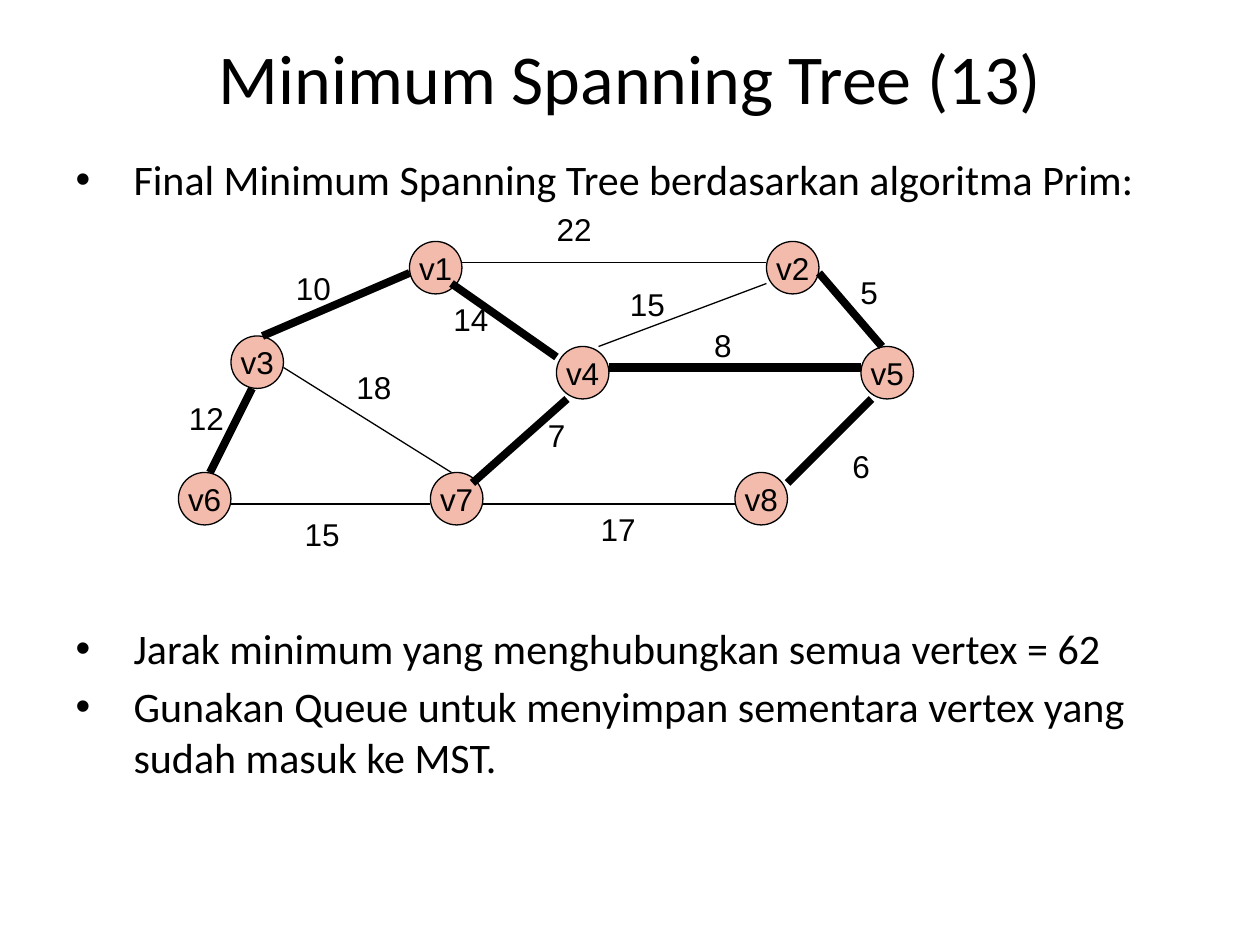
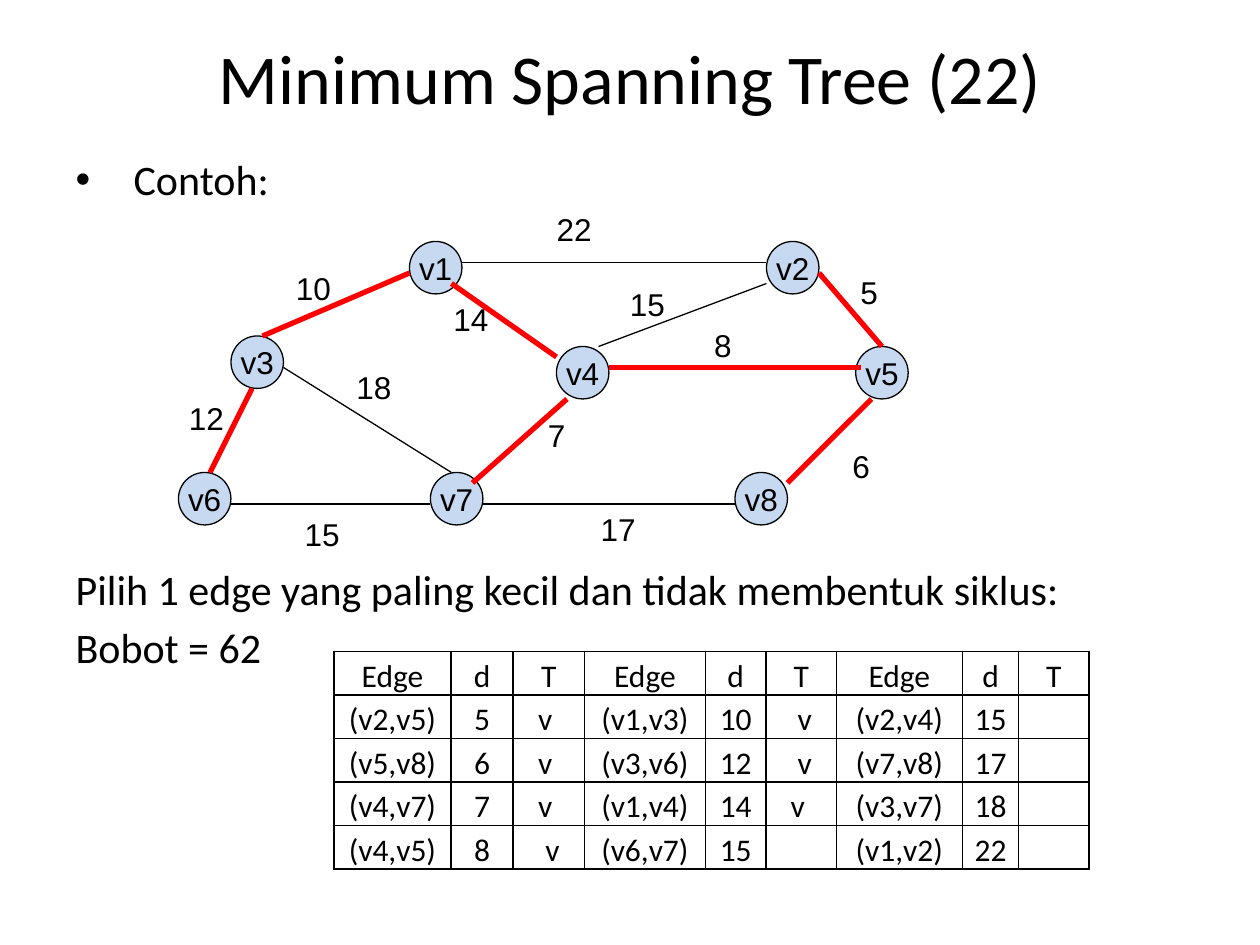
from lxml import etree
from pptx import Presentation
from pptx.dml.color import RGBColor
from pptx.enum.shapes import MSO_CONNECTOR, MSO_SHAPE
from pptx.enum.text import MSO_ANCHOR, MSO_AUTO_SIZE, PP_ALIGN
from pptx.oxml.ns import qn
from pptx.util import Pt

STRAIGHT = MSO_CONNECTOR.STRAIGHT
OVAL = MSO_SHAPE.OVAL
MIDDLE = MSO_ANCHOR.MIDDLE
CENTER = PP_ALIGN.CENTER
NO_FIT = MSO_AUTO_SIZE.NONE

BLACK, RED, PINK, PALE_BLUE = "000000", "FF0000", "F2BBAC", "C6D9F1"
TEXT_FONT, GRAPH_FONT = "Calibri", "Arial"
TITLE_BOX = (36, 21.6, 648, 44.6)
GRAPH_ORIGIN = (102, 138)
NODE_SIZE = 30
THIN = 0.75
HANGING = 33.1
PARAGRAPH_GAP = 4.3

NODES = {
    "v1": (132, 0), "v2": (336, 0), "v4": (216, 60), "v3": (30, 54),
    "v7": (144, 132), "v8": (318, 132), "v6": (0, 132), "v5": (390, 60),
}
EDGES = {
    "v1-v2": (162, 12, 336, 12),
    "v1-v4": (156, 24, 216, 66),
    "v1-v3": (48, 54, 132, 18),
    "v3-v6": (18, 132, 42, 84),
    "v3-v7": (60, 72, 156, 132),
    "v6-v7": (30, 150, 144, 150),
    "v4-v7": (168, 138, 222, 90),
    "v7-v8": (174, 150, 318, 150),
    "v4-v5": (246, 72, 390, 72),
    "v2-v5": (366, 18, 402, 60),
    "v5-v8": (396, 90, 348, 138),
    "v2-v4": (240, 60, 336, 24),
}
TREE = {"v1-v4", "v1-v3", "v3-v6", "v4-v7", "v4-v5", "v2-v5", "v5-v8"}
WEIGHTS = [
    ("10", 60, 12), ("22", 209, -21.4), ("15", 250.8, 21.1), ("8", 299, 44.9),
    ("5", 382.6, 14.6), ("14", 150, 30), ("12", -1.2, 86.6), ("18", 94.6, 68.6),
    ("15", 65, 152.9), ("17", 234.2, 150), ("6", 378, 114), ("7", 204, 96),
]
COLUMN_WIDTHS = [67, 35.5, 40.7, 69.2, 34.6, 40.2, 72, 32.2, 40.2]
EDGE_ROWS = [
    ["Edge", "d", "T"] * 3,
    ["(v2,v5)", "5", "v ", "(v1,v3)", "10", " v", "(v2,v4)", "15", ""],
    ["(v5,v8)", "6", "v ", "(v3,v6)", "12", " v", "(v7,v8)", "17", ""],
    ["(v4,v7)", "7", "v ", "(v1,v4)", "14", "v ", "(v3,v7)", "18", ""],
    ["(v4,v5)", "8", " v", "(v6,v7)", "15", "", "(v1,v2)", "22", ""],
]


def color(value):
    """Turn a hex string into a colour."""
    return RGBColor.from_string(value)


def points(*values):
    """Turn numbers into lengths in points."""
    return [Pt(value) for value in values]


def style_runs(para, font, size):
    """Format every run of a paragraph in black."""
    for span in para.runs:
        span.font.name = font
        span.font.size = Pt(size)
        span.font.color.rgb = color(BLACK)


def move(shape, box):
    """Place a shape in a box of left, top, width and height."""
    shape.left, shape.top, shape.width, shape.height = points(*box)


def add_title(page, text):
    """Fill and place the title placeholder."""
    title = page.shapes.title
    move(title, TITLE_BOX)
    frame = title.text_frame
    frame.text = text
    frame.auto_size = NO_FIT
    frame.vertical_anchor = MIDDLE
    para = frame.paragraphs[0]
    para.alignment = CENTER
    style_runs(para, TEXT_FONT, 40)


def add_body(page, height, items):
    """Fill the body placeholder with (text, bulleted, space before) items."""
    body = page.placeholders[1]
    move(body, (36, 84.2, 648, height))
    frame = body.text_frame
    frame.text = "\n".join(text for text, _, _ in items)
    frame.auto_size = NO_FIT
    for para, (_, bulleted, gap) in zip(frame.paragraphs, items):
        properties = para._p.get_or_add_pPr()
        properties.set("marL", str(Pt(HANGING)))
        properties.set("indent", str(-Pt(HANGING)))
        bullet = etree.SubElement(properties, qn("a:buChar" if bulleted else "a:buNone"))
        if bulleted:
            bullet.set("char", "•")
        para.space_before = Pt(gap)
        style_runs(para, TEXT_FONT, 24)


def add_node(page, name, left, top, fill):
    """Draw a named vertex."""
    node = page.shapes.add_shape(OVAL, *points(left, top, NODE_SIZE, NODE_SIZE))
    node.shadow.inherit = False
    node.fill.solid()
    node.fill.fore_color.rgb = color(fill)
    node.line.color.rgb = color(BLACK)
    node.line.width = Pt(THIN)
    frame = node.text_frame
    frame.text = name
    frame.word_wrap = False
    frame.vertical_anchor = MIDDLE
    frame.paragraphs[0].alignment = CENTER
    style_runs(frame.paragraphs[0], GRAPH_FONT, 18)


def add_edge(page, ends, line_color, width):
    """Draw a straight edge between two points."""
    edge = page.shapes.add_connector(STRAIGHT, *points(*ends))
    edge.line.color.rgb = color(line_color)
    edge.line.width = Pt(width)
    etree.SubElement(edge._element.spPr, qn("a:effectLst"))


def add_weight(page, text, left, top):
    """Write the weight of an edge."""
    width = 14.4 + 10.1 * len(text)
    label = page.shapes.add_textbox(*points(left, top, width, 28.8))
    frame = label.text_frame
    frame.text = text
    frame.word_wrap = False
    style_runs(frame.paragraphs[0], GRAPH_FONT, 18)


def add_graph(page, origin, node_fill, tree_color, tree_width, changed_nodes=None, changed_widths=None):
    """Draw the weighted graph with its spanning tree emphasised."""
    x, y = origin
    for name, (left, top) in {**NODES, **(changed_nodes or {})}.items():
        add_node(page, name, x + left, y + top, node_fill)
    widths = {**dict.fromkeys(TREE, tree_width), **(changed_widths or {})}
    for name, (x1, y1, x2, y2) in EDGES.items():
        line_color = tree_color if name in TREE else BLACK
        add_edge(page, (x + x1, y + y1, x + x2, y + y2), line_color, widths.get(name, THIN))
    for text, left, top in WEIGHTS:
        add_weight(page, text, x + left, y + top)


def add_cell_borders(cell):
    """Give a cell black borders on all four sides."""
    properties = cell._tc.get_or_add_tcPr()
    for side in ("a:lnL", "a:lnR", "a:lnT", "a:lnB"):
        line = etree.SubElement(properties, qn(side), w=str(Pt(1)))
        fill = etree.SubElement(line, qn("a:solidFill"))
        etree.SubElement(fill, qn("a:srgbClr"), val=BLACK)


def add_edge_table(page, left, top, row_height):
    """Build the table of sorted edges."""
    size = points(left, top, sum(COLUMN_WIDTHS), row_height * len(EDGE_ROWS))
    table = page.shapes.add_table(len(EDGE_ROWS), len(COLUMN_WIDTHS), *size).table
    table.first_row = table.horz_banding = False
    for column, width in zip(table.columns, COLUMN_WIDTHS):
        column.width = Pt(width)
    for row, texts in zip(table.rows, EDGE_ROWS):
        row.height = Pt(row_height)
        for cell, text in zip(row.cells, texts):
            cell.margin_left = cell.margin_right = Pt(5)
            cell.margin_top = cell.margin_bottom = Pt(0)
            add_cell_borders(cell)
            cell.fill.background()
            cell.text = text
            para = cell.text_frame.paragraphs[0]
            para.alignment = CENTER
            para.line_spacing = 1.15
            style_runs(para, TEXT_FONT, 18)


def add_prim_slide(deck):
    """Build the slide with the final tree of Prim's algorithm."""
    page = deck.slides.add_slide(deck.slide_layouts[1])
    add_title(page, "Minimum Spanning Tree (13)")
    add_body(page, 398.2, [
        ("Final Minimum Spanning Tree berdasarkan algoritma Prim:", True, 0),
        ("Jarak minimum yang menghubungkan semua vertex = 62", True, 239.3),
        ("Gunakan Queue untuk menyimpan sementara vertex yang sudah masuk ke MST.",
         True, PARAGRAPH_GAP),
    ])
    add_graph(page, GRAPH_ORIGIN, PINK, BLACK, 4.5, changed_widths={"v4-v5": 5.5})


def add_sorted_edges_slide(deck):
    """Build the slide that picks the smallest edges in order."""
    page = deck.slides.add_slide(deck.slide_layouts[1])
    add_title(page, "Minimum Spanning Tree (22)")
    add_body(page, 450, [
        ("Contoh:", True, 0),
        ("Pilih 1 edge yang paling kecil dan tidak membentuk siklus:", False, 205.6),
        ("Bobot = 62", False, PARAGRAPH_GAP),
    ])
    add_graph(page, GRAPH_ORIGIN, PALE_BLUE, RED, 3, changed_nodes={"v5": (387, 60)})
    add_edge_table(page, 190.8, 372.2, 23.3)


def main():
    """Build and save the deck."""
    deck = Presentation()
    deck.slide_width, deck.slide_height = points(720, 540)
    add_prim_slide(deck)
    add_sorted_edges_slide(deck)
    deck.save("out.pptx")


if __name__ == "__main__":
    main()
